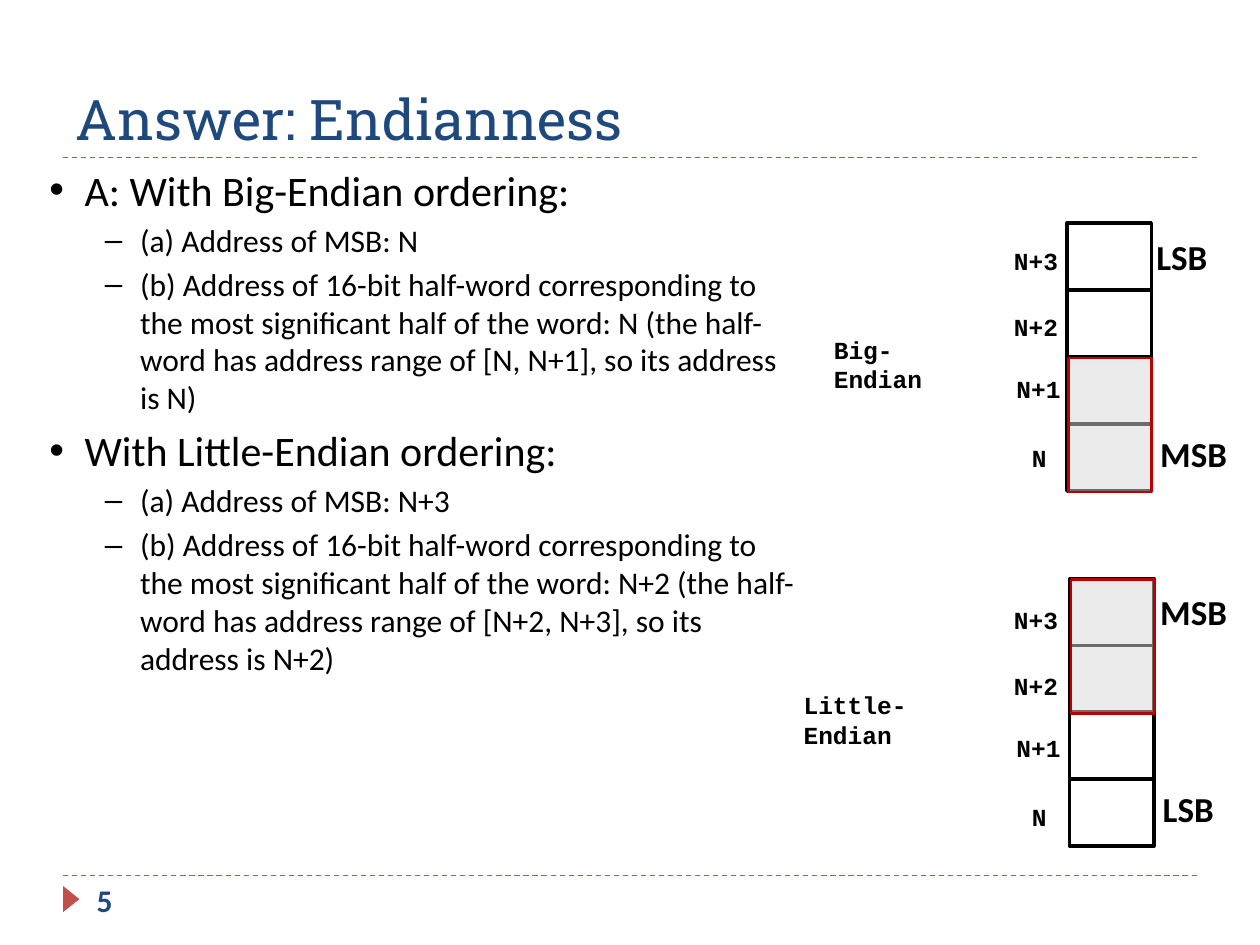
from lxml.etree import SubElement
from pptx import Presentation
from pptx.dml.color import RGBColor
from pptx.enum.dml import MSO_LINE_DASH_STYLE as Dash
from pptx.enum.shapes import MSO_CONNECTOR, MSO_SHAPE
from pptx.enum.text import MSO_ANCHOR, MSO_AUTO_SIZE, PP_ALIGN
from pptx.oxml.ns import qn
from pptx.util import Cm, Pt

COLORS = {
    "navy": "1F497D",
    "red": "C0504D",
    "frame": "C00000",
    "shade": "D9D9D9",
    "black": "000000",
    "white": "FFFFFF",
}


def add_label(text, left, top, width, size, font="Calibri", color="black"):
    """Add a bold one-paragraph text box, 1 cm high."""
    box = slide.shapes.add_textbox(Cm(left), Cm(top), Cm(width), Cm(1))
    box.text_frame.word_wrap = True
    paragraph = box.text_frame.paragraphs[0]
    paragraph.text = text
    paragraph.font.name, paragraph.font.size = font, Pt(size)
    paragraph.font.bold = True
    paragraph.font.color.rgb = RGBColor.from_string(COLORS[color])
    return box


def add_filled(preset, left, top, width, height, fill, line=None, weight=0):
    """Add a shadowless preset shape, outlined only if a line colour is given."""
    shape = slide.shapes.add_shape(preset, Cm(left), Cm(top), Cm(width), Cm(height))
    shape.shadow.inherit = False
    shape.fill.solid()
    shape.fill.fore_color.rgb = RGBColor.from_string(COLORS[fill])
    if line:
        shape.line.color.rgb = RGBColor.from_string(COLORS[line])
        shape.line.width = Pt(weight)
    else:
        shape.line.fill.background()
    return shape


prs = Presentation()
prs.slide_width, prs.slide_height = Cm(25.4), Cm(19.05)
slide = prs.slides.add_slide(prs.slide_layouts[1])

# Rules, page marker and page number
for rule_y in (3.18, 17.65):
    rule = slide.shapes.add_connector(
        MSO_CONNECTOR.STRAIGHT, Cm(1.27), Cm(rule_y), Cm(24.13), Cm(rule_y))
    rule.line.color.rgb = RGBColor.from_string(COLORS["red"])
    rule.line.width = Pt(0.75)
    rule.line.dash_style = Dash.DASH
    SubElement(rule._element.spPr, qn("a:effectLst"))

marker = add_filled(MSO_SHAPE.ISOSCELES_TRIANGLE, 1.17, 17.96, 0.53, 0.33, "red")
marker.rotation = 90
page_number = add_label("5", 1.7, 17.65, 5.51, 18, color="navy")
page_number.text_frame.vertical_anchor = MSO_ANCHOR.MIDDLE

# Title
title = slide.shapes.title
title.left, title.top, title.width, title.height = Cm(1.27), Cm(0.64), Cm(22.86), Cm(2.54)
title.text_frame.text = "Answer: Endianness"
title.text_frame.vertical_anchor = MSO_ANCHOR.BOTTOM
title.text_frame.auto_size = MSO_AUTO_SIZE.NONE
heading = title.text_frame.paragraphs[0]
heading.alignment = PP_ALIGN.LEFT
heading.font.name, heading.font.size = "Roboto Slab", Pt(32)
heading.font.color.rgb = RGBColor.from_string(COLORS["navy"])

# Answers
answers = [
    (0, "A: With Big-Endian ordering:"),
    (1, "(a) Address of MSB: N"),
    (1, "(b) Address of 16-bit half-word corresponding to the most significant half "
        "of the word: N (the half-word has address range of [N, N+1], "
        "so its address is N)"),
    (0, "With Little-Endian ordering:"),
    (1, "(a) Address of MSB: N+3"),
    (1, "(b) Address of 16-bit half-word corresponding to the most significant half "
        "of the word: N+2 (the half-word has address range of [N+2, N+3], "
        "so its address is N+2)"),
]
body = slide.placeholders[1]
body.left, body.top, body.width, body.height = Cm(0.74), Cm(3.18), Cm(15.62), Cm(15.04)
body.text_frame.auto_size = MSO_AUTO_SIZE.NONE
for index, (level, answer) in enumerate(answers):
    paragraph = body.text_frame.paragraphs[0] if index == 0 else body.text_frame.add_paragraph()
    paragraph.text = answer
    paragraph.level = level
    properties = paragraph._p.get_or_add_pPr()
    properties.set("marL", str(Cm((0.71, 1.83)[level])))
    properties.set("indent", str(Cm(-0.71)))
    paragraph.font.name, paragraph.font.size = "Calibri", Pt((24, 18)[level])
    paragraph.font.color.rgb = RGBColor.from_string(COLORS["black"])
body.text_frame.paragraphs[0].space_before = Pt(0)

# Memory diagrams: four byte cells each, the most significant half highlighted
CELL_W, CELL_H = 1.7, 1.35
addresses = [("N+3", 20.19, 0), ("N+2", 20.19, 1.34), ("N+1", 20.24, 2.59), ("N", 20.55, 3.98)]
orderings = [
    # name, name left, name width, stack left, stack top, first address top,
    # first highlighted cell, (top byte, left), (bottom byte, left)
    ("Big-Endian", 16.56, 3.2, 21.51, 4.5, 4.83, 2, ("LSB", 23.06), ("MSB", 23.14)),
    ("Little-Endian", 15.95, 3.76, 21.56, 11.66, 12.07, 0, ("MSB", 23.14), ("LSB", 23.19)),
]
for (name, name_left, name_width, left, top, address_top,
     first_cell, top_byte, bottom_byte) in orderings:
    for row in range(4):
        add_filled(MSO_SHAPE.RECTANGLE, left, top + row * CELL_H, CELL_W, CELL_H,
                   "white", "black", 2)
    half_word = add_filled(MSO_SHAPE.RECTANGLE, left + 0.03, top + first_cell * CELL_H + 0.02,
                           CELL_W - 0.02, 2 * CELL_H, "shade", "frame", 1.5)
    shade = half_word._element.spPr.find(qn("a:solidFill"))[0]
    SubElement(shade, qn("a:alpha"), val="50000")

    add_label(name, name_left, top + 2.13, name_width, 14, "Courier New")
    for address, address_left, offset in addresses:
        add_label(address, address_left, address_top + offset, 1.7, 14, "Courier New")
    for (byte, byte_left), offset in ((top_byte, 0.12), (bottom_byte, 4.09)):
        add_label(byte, byte_left, top + offset, 2, 20)

prs.save("out.pptx")
